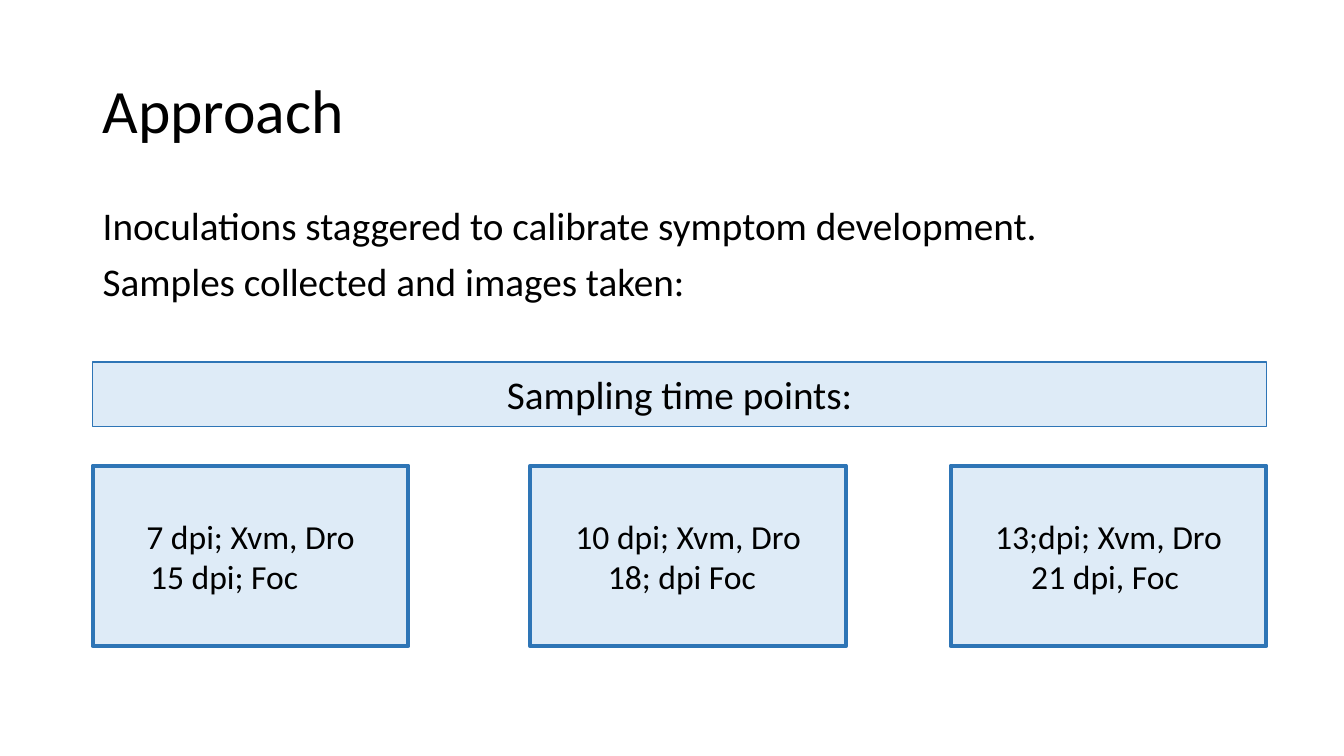
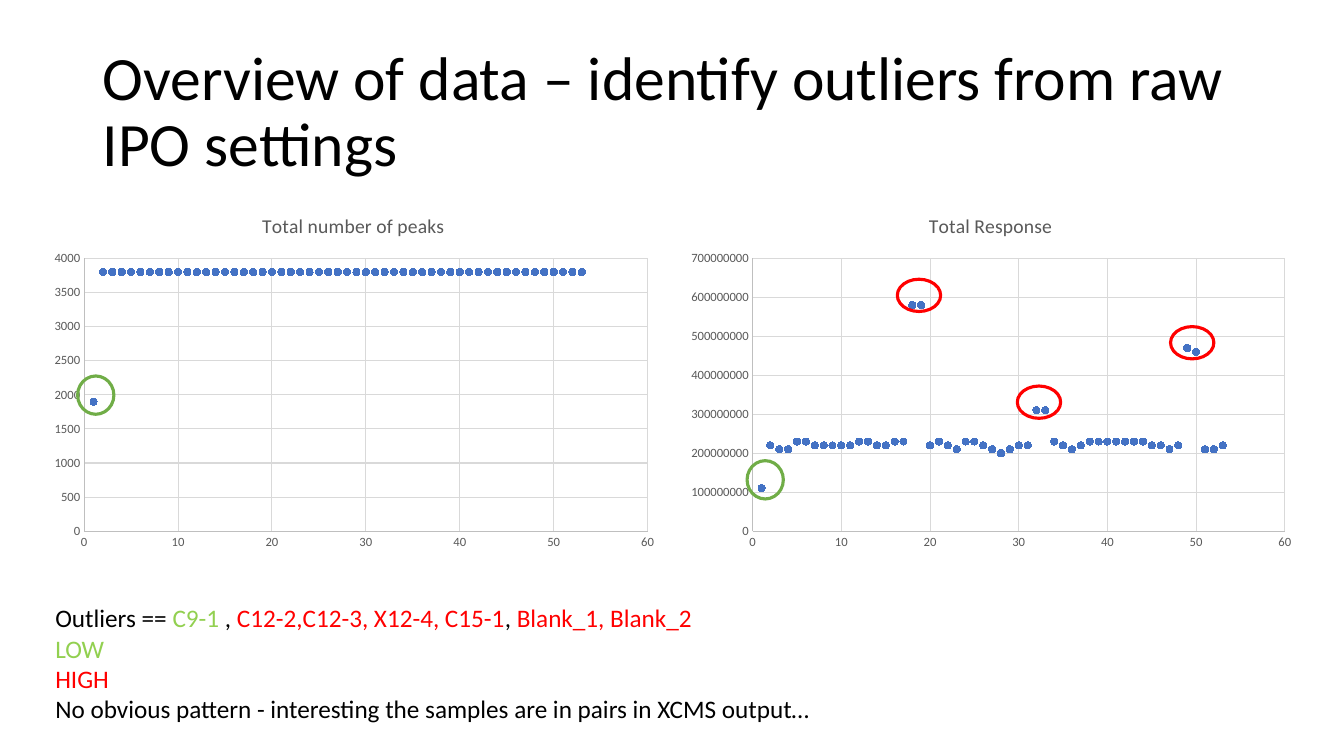
from dataclasses import dataclass

from lxml import etree
from pptx import Presentation
from pptx import util as u
from pptx.chart.data import XyChartData
from pptx.dml.color import RGBColor
from pptx.enum import chart as charts
from pptx.enum import shapes, text
from pptx.oxml.ns import qn

EMU_PER_PX = 9144


@dataclass(frozen=True)
class Theme:
    font: str = "Calibri"
    ink: str = "000000"
    panel: str = "DEEBF7"
    panel_edge: str = "2E75B6"
    low: str = "92D050"
    low_ring: str = "70AD47"
    high: str = "FF0000"
    marker: str = "4472C4"
    chart_text: str = "595959"
    axis: str = "BFBFBF"
    grid: str = "D9D9D9"
    title_size: int = 44
    body_size: int = 28
    box_size: int = 24
    note_size: int = 18
    chart_title_size: int = 14
    tick_size: int = 9


THEME = Theme()

SAMPLING_BOXES = [
    (92, "7 dpi; Xvm, Dro", "15 dpi; Foc", 47),
    (526, "10 dpi; Xvm, Dro", "18; dpi Foc", 67),
    (943, "13;dpi; Xvm, Dro", "21 dpi, Foc", 70),
]

PEAK_COUNTS = [1900] + [3800] * 52
RESPONSE_UNIT = 10_000_000
RESPONSES = [RESPONSE_UNIT * level for level in (
    11, 22, 21, 21, 23, 23, 22, 22, 22, 22, 22, 23, 23, 22, 22, 23, 23, 58,
    58, 22, 23, 22, 21, 23, 23, 22, 21, 20, 21, 22, 22, 31, 31, 23, 22, 21,
    22, 23, 23, 23, 23, 23, 23, 23, 22, 22, 21, 22, 47, 46, 21, 21, 22)]

HIGH_RINGS = [(890, 277), (1009, 383), (1161, 324)]
LOW_RINGS = [(741, 457), (77, 373)]

OUTLIER_NOTES = [
    [("Outliers == ", THEME.ink), ("C9-1", THEME.low), (" , ", THEME.ink),
     ("C12-2,C12-3, X12-4, C15-1", THEME.high), (", ", THEME.ink),
     ("Blank_1, Blank_2", THEME.high)],
    [("LOW", THEME.low)],
    [("HIGH", THEME.high)],
    [("No obvious pattern - interesting the samples are in pairs in XCMS output…",
      THEME.ink)],
]


def px(length):
    return u.Emu(length * EMU_PER_PX)


def rgb(colour):
    return RGBColor.from_string(colour)


def style_font(font, size, colour=None):
    font.name = THEME.font
    font.size = u.Pt(size)
    font.bold = False
    if colour:
        font.color.rgb = rgb(colour)


def style_line(line, colour, width):
    line.color.rgb = rgb(colour)
    line.width = u.Pt(width)


def write(frame, lines, size, align=text.PP_ALIGN.LEFT, spacing=1.0, gap=0):
    frame.word_wrap = True
    for index, line in enumerate(lines):
        paragraph = frame.add_paragraph() if index else frame.paragraphs[0]
        paragraph.alignment = align
        paragraph.line_spacing = spacing
        if index and gap:
            paragraph.space_before = u.Pt(gap)
        runs = [(line, THEME.ink)] if isinstance(line, str) else line
        colours = {colour for _, colour in runs}
        style_font(paragraph.font, size, colours.pop() if len(colours) == 1 else None)
        for words, colour in runs:
            run = paragraph.add_run()
            run.text = words
            if colours:
                run.font.color.rgb = rgb(colour)


def add_text(slide, area, lines, size, anchor=text.MSO_ANCHOR.TOP, **layout):
    frame = slide.shapes.add_textbox(*map(px, area)).text_frame
    frame.vertical_anchor = anchor
    write(frame, lines, size, **layout)


def add_title(slide, title):
    add_text(slide, (92, 40, 1150, 145), [title], THEME.title_size,
             anchor=text.MSO_ANCHOR.MIDDLE, spacing=0.9)


def add_panel(slide, area, lines, size, edge):
    panel = slide.shapes.add_shape(shapes.MSO_SHAPE.RECTANGLE, *map(px, area))
    panel.shadow.inherit = False
    panel.fill.solid()
    panel.fill.fore_color.rgb = rgb(THEME.panel)
    style_line(panel.line, THEME.panel_edge, edge)
    panel.text_frame.vertical_anchor = text.MSO_ANCHOR.MIDDLE
    write(panel.text_frame, lines, size, align=text.PP_ALIGN.CENTER)
    return panel


def add_sampling_box(slide, left, first, second, indent):
    box = add_panel(slide, (left, 462, 313, 179), [first, second], THEME.box_size, 3)
    second_line = box.text_frame.paragraphs[1]
    second_line.alignment = text.PP_ALIGN.LEFT
    second_line._p.get_or_add_pPr().set("marL", str(px(indent)))


def add_ring(slide, left, top, width, height, colour):
    ring = slide.shapes.add_shape(
        shapes.MSO_SHAPE.OVAL, *map(px, (left, top, width, height)))
    ring.shadow.inherit = False
    ring.fill.background()
    style_line(ring.line, colour, 2.25)


def style_axis(axis, maximum, step):
    axis.minimum_scale = 0
    axis.maximum_scale = maximum
    axis.major_unit = step
    axis.major_tick_mark = axis.minor_tick_mark = charts.XL_TICK_MARK.NONE
    axis.has_major_gridlines = True
    style_line(axis.major_gridlines.format.line, THEME.grid, 0.75)
    style_line(axis.format.line, THEME.axis, 0.75)
    style_font(axis.tick_labels.font, THEME.tick_size, THEME.chart_text)


def place_plot(chart, left, width):
    plot_area = chart.element.find(".//" + qn("c:plotArea"))
    layout = plot_area.find(qn("c:layout"))
    if layout is None:
        layout = etree.Element(qn("c:layout"))
        plot_area.insert(0, layout)
    manual = etree.SubElement(layout, qn("c:manualLayout"))
    settings = [("layoutTarget", "inner"), ("xMode", "edge"), ("yMode", "edge"),
                ("x", left), ("y", 0.17), ("w", width), ("h", 0.75)]
    for tag, value in settings:
        etree.SubElement(manual, qn("c:" + tag)).set("val", str(value))


def add_scatter(slide, left, title, values, maximum, step, plot_left, plot_width):
    data = XyChartData(number_format="General")
    samples = data.add_series("Series 1")
    for number, value in enumerate(values, 1):
        samples.add_data_point(number, value)
    chart = slide.shapes.add_chart(
        charts.XL_CHART_TYPE.XY_SCATTER, *map(px, (left, 195, 621, 361)), data).chart
    style_font(chart.font, 10, THEME.ink)
    chart.has_legend = False
    chart.has_title = True
    heading = chart.chart_title
    heading.include_in_layout = False
    heading.text_frame.text = title
    style_font(heading.text_frame.paragraphs[0].font,
               THEME.chart_title_size, THEME.chart_text)
    style_axis(chart.category_axis, 60, 10)
    style_axis(chart.value_axis, maximum, step)
    place_plot(chart, plot_left, plot_width)
    plot = chart.plots[0]
    plot.vary_by_categories = False
    series = plot.series[0]
    series.format.line.fill.background()
    marker = series.marker
    marker.style = charts.XL_MARKER_STYLE.CIRCLE
    marker.size = 5
    marker.format.fill.solid()
    marker.format.fill.fore_color.rgb = rgb(THEME.marker)
    style_line(marker.format.line, THEME.marker, 0.75)


def build_approach(slide):
    add_title(slide, "Approach")
    add_text(slide, (92, 200, 1182, 209),
             ["Inoculations staggered to calibrate symptom development.",
              "Samples collected and images taken:"],
             THEME.body_size, spacing=0.9, gap=10)
    for box in SAMPLING_BOXES:
        add_sampling_box(slide, *box)
    add_panel(slide, (92, 359, 1164, 64), ["Sampling time points:"], THEME.body_size, 1)


def build_overview(slide):
    add_title(slide, "Overview of data – identify outliers from raw IPO settings")
    add_scatter(slide, 40, "Total number of peaks", PEAK_COUNTS, 4000, 500, 0.07, 0.9)
    add_scatter(slide, 672, "Total Response", RESPONSES,
                70 * RESPONSE_UNIT, 10 * RESPONSE_UNIT, 0.12, 0.85)
    add_text(slide, (45, 593, 1249, 131), OUTLIER_NOTES, THEME.note_size)
    for left, top in HIGH_RINGS:
        add_ring(slide, left, top, 43, 32, THEME.high)
    for left, top in LOW_RINGS:
        add_ring(slide, left, top, 36, 38, THEME.low_ring)


def main():
    deck = Presentation()
    deck.slide_width, deck.slide_height = px(1333), px(750)
    blank = deck.slide_layouts[6]
    for build in (build_approach, build_overview):
        build(deck.slides.add_slide(blank))
    deck.save("out.pptx")


if __name__ == "__main__":
    main()
